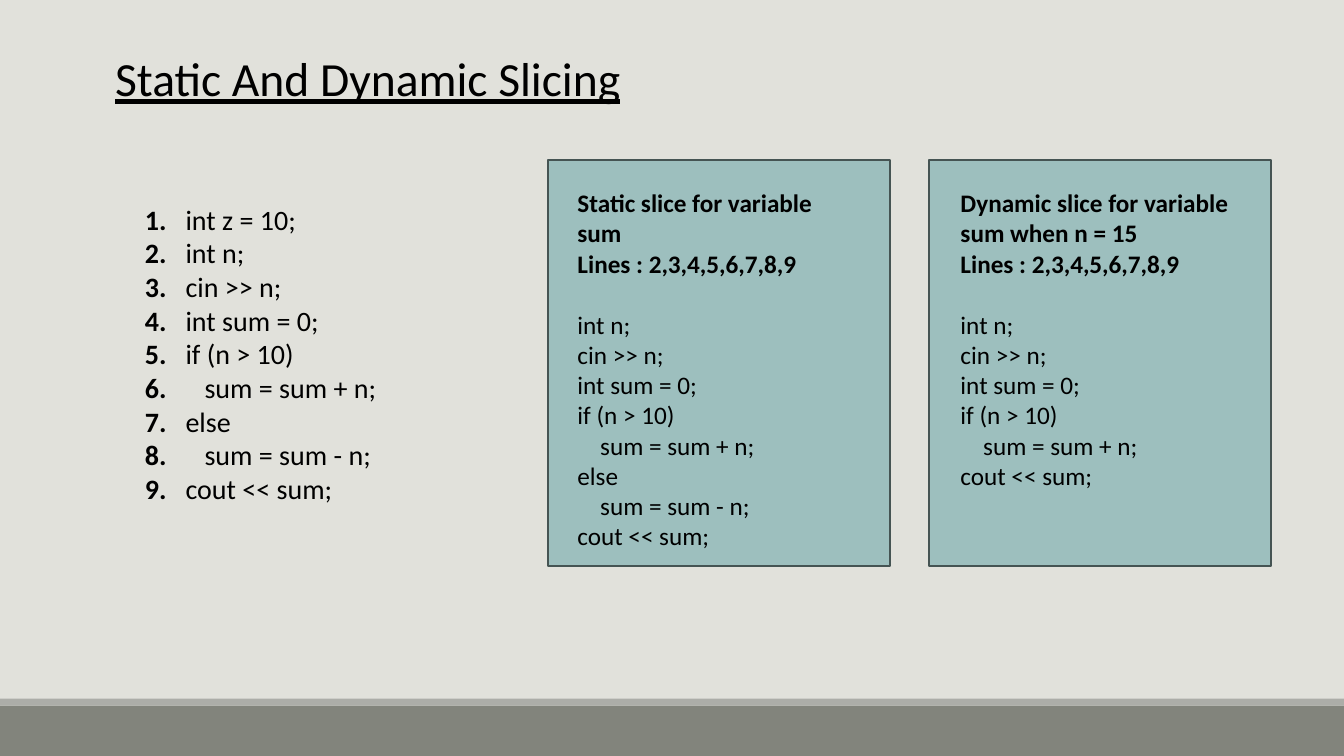
from dataclasses import dataclass

from pptx import Presentation
from pptx.dml.color import RGBColor
from pptx.enum.shapes import MSO_SHAPE as Preset
from pptx.enum.text import MSO_ANCHOR as Anchor, MSO_AUTO_SIZE as AutoSize, PP_ALIGN as Align
from pptx.slide import Slide
from pptx.text.text import TextFrame, _Paragraph as Paragraph
from pptx.util import Pt

BLACK = RGBColor(0x00, 0x00, 0x00)
PAPER = RGBColor(0xE1, 0xE1, 0xDB)
FOOTER = RGBColor(0x82, 0x84, 0x7C)
FOOTER_EDGE = RGBColor(0xAC, 0xAD, 0xA8)
CARD = RGBColor(0x9D, 0xBF, 0xBE)
CARD_EDGE = RGBColor(0x45, 0x54, 0x53)

WIDTH, HEIGHT = 960, 540
CODE_INDENT = 29
CARD_TOP, CARD_WIDTH, CARD_HEIGHT = 114.5, 244, 290
SLICE_TOP = 130.3

PROGRAM = [
    "int z = 10;",
    "int n;",
    "cin >> n;",
    "int sum = 0;",
    "if (n > 10)",
    "   sum = sum + n;",
    "else",
    "   sum = sum - n;",
    "cout << sum;",
]
SHARED_CODE = ["int n;", "cin >> n;", "int sum = 0;", "if (n > 10)", "    sum = sum + n;"]
ELSE_CODE = ["else", "    sum = sum - n;"]
OUTPUT_CODE = ["cout << sum;"]
SLICE_LINES = "Lines : 2,3,4,5,6,7,8,9"


@dataclass
class SliceCard:
    left: float
    text_left: float
    text_width: float
    heading: str
    code: list[str]


SLICE_CARDS = [
    SliceCard(391.7, 405.4, 216, "Static slice for variable sum",
              SHARED_CODE + ELSE_CODE + OUTPUT_CODE),
    SliceCard(663.8, 679, 211.7, "Dynamic slice for variable sum when n = 15",
              SHARED_CODE + OUTPUT_CODE),
]


def write(paragraph: Paragraph, text: str, size: float, *,
          bold: bool = False, underline: bool = False) -> None:
    paragraph.alignment = Align.LEFT
    run = paragraph.add_run()
    run.text = text
    font = run.font
    font.name, font.size = "Calibri", Pt(size)
    font.bold, font.underline = bold, underline
    font.color.rgb = BLACK


def prepare(frame: TextFrame) -> TextFrame:
    frame.word_wrap = True
    frame.auto_size = AutoSize.NONE
    frame.vertical_anchor = Anchor.TOP
    return frame


def add_text_area(slide: Slide, left: float, top: float, width: float, height: float) -> TextFrame:
    return prepare(slide.shapes.add_textbox(Pt(left), Pt(top), Pt(width), Pt(height)).text_frame)


def add_panel(slide: Slide, left: float, top: float, width: float, height: float,
              fill: RGBColor, edge: RGBColor | None = None) -> None:
    panel = slide.shapes.add_shape(Preset.RECTANGLE, Pt(left), Pt(top), Pt(width), Pt(height))
    panel.shadow.inherit = False
    panel.fill.solid()
    panel.fill.fore_color.rgb = fill
    if edge is None:
        panel.line.fill.background()
    else:
        panel.line.color.rgb = edge
        panel.line.width = Pt(1.25)


def add_title(slide: Slide) -> None:
    title = slide.shapes.title
    title.left, title.top, title.width, title.height = Pt(75), Pt(31.7), Pt(410), Pt(70.5)
    write(prepare(title.text_frame).paragraphs[0], "Static And Dynamic Slicing", 34, underline=True)


def add_program(slide: Slide) -> None:
    listing = add_text_area(slide, 96.5, 141, 216, 225.4)
    for number, code in enumerate(PROGRAM, start=1):
        line = listing.paragraphs[0] if number == 1 else listing.add_paragraph()
        properties = line._p.get_or_add_pPr()
        properties.set("marL", str(Pt(CODE_INDENT)))
        properties.set("indent", str(-Pt(CODE_INDENT)))
        write(line, f"{number}.\t", 20, bold=True)
        write(line, code, 20)


def add_slice(slide: Slide, card: SliceCard) -> None:
    add_panel(slide, card.left, CARD_TOP, CARD_WIDTH, CARD_HEIGHT, CARD, CARD_EDGE)
    content = add_text_area(slide, card.text_left, SLICE_TOP, card.text_width, 269)
    heading = content.paragraphs[0]
    write(heading, card.heading, 18, bold=True)
    heading.add_line_break()
    write(heading, SLICE_LINES, 18, bold=True)
    heading.space_after = Pt(22)
    for code in card.code:
        write(content.add_paragraph(), code, 18)


def main() -> None:
    deck = Presentation()
    deck.slide_width, deck.slide_height = Pt(WIDTH), Pt(HEIGHT)
    slide = deck.slides.add_slide(deck.slide_layouts[5])
    slide.background.fill.solid()
    slide.background.fill.fore_color.rgb = PAPER
    add_panel(slide, 0, 504, WIDTH, 36, FOOTER)
    add_panel(slide, 0, 499, WIDTH, 5, FOOTER_EDGE)
    add_title(slide)
    add_program(slide)
    for card in SLICE_CARDS:
        add_slice(slide, card)
    deck.save("out.pptx")


if __name__ == "__main__":
    main()
